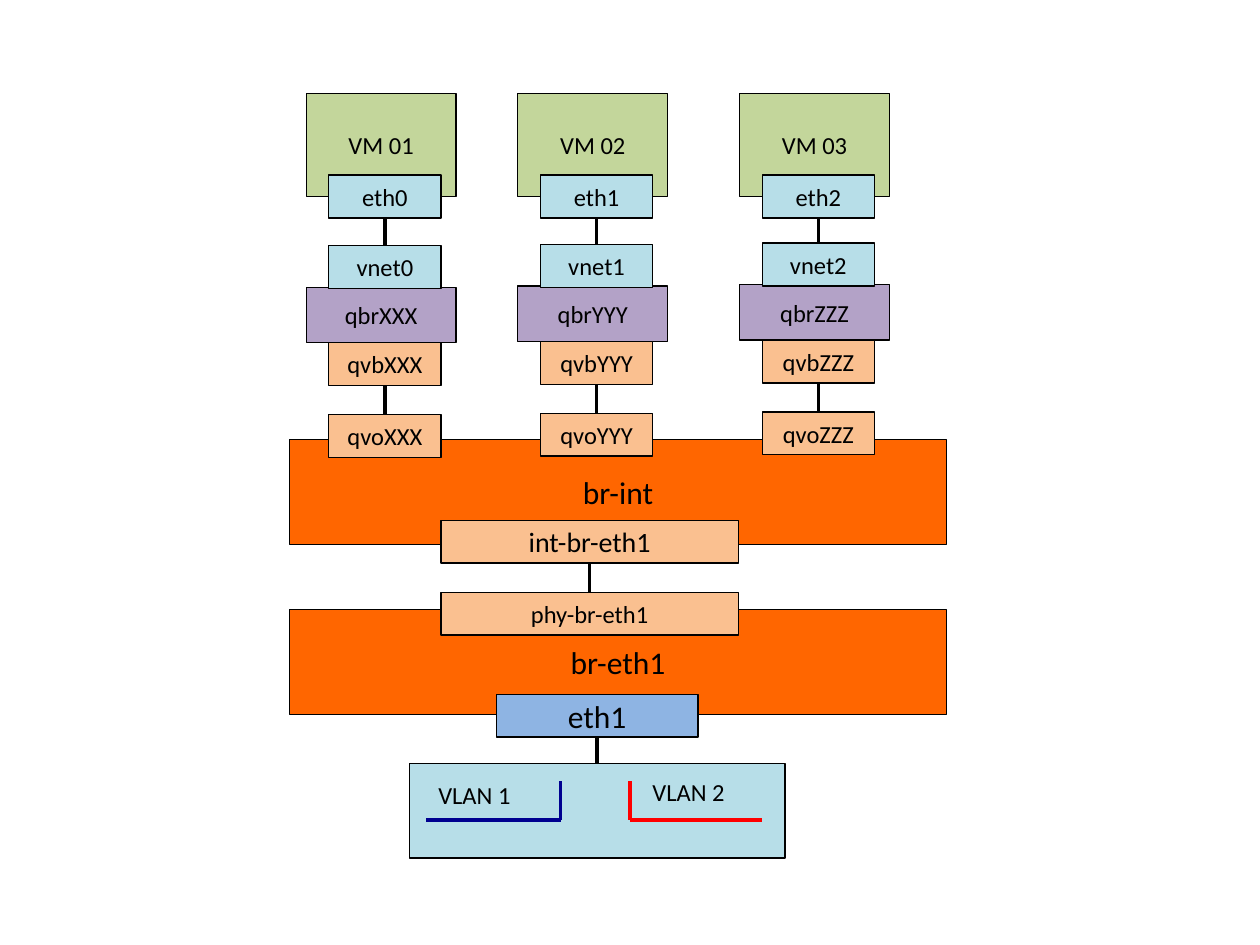
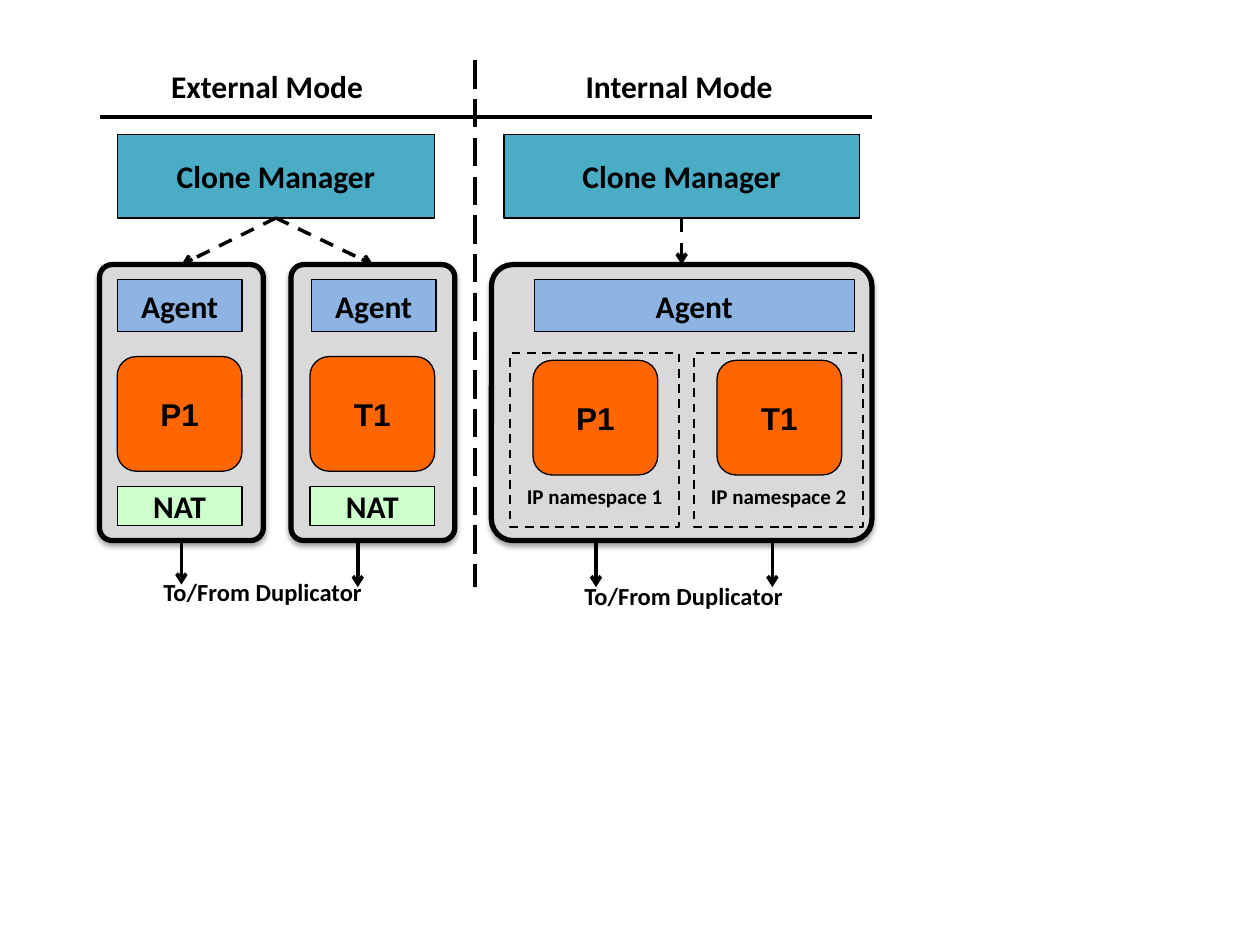
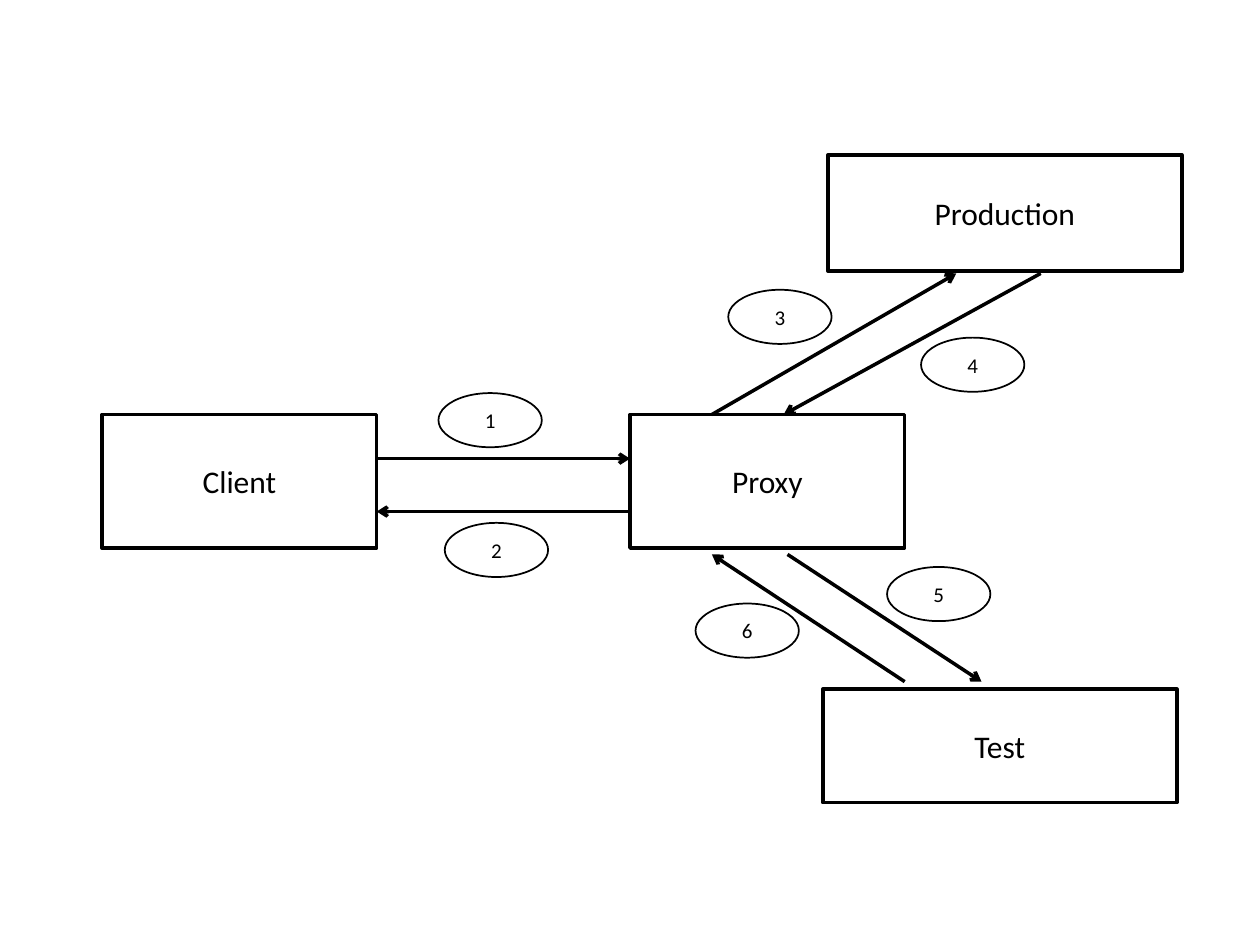
import lxml.etree
import pptx
import pptx.dml.color
import pptx.enum.dml
import pptx.enum.shapes
import pptx.enum.text
import pptx.oxml
import pptx.oxml.ns
import pptx.util

Inches = pptx.util.Inches
hex_colour = pptx.dml.color.RGBColor.from_string
SHAPE = pptx.enum.shapes.MSO_SHAPE
DASH = pptx.enum.dml.MSO_LINE.DASH
LONG_DASH = pptx.enum.dml.MSO_LINE.LONG_DASH
ANCHOR = pptx.enum.text.MSO_ANCHOR
ALIGN = pptx.enum.text.PP_ALIGN

BLACK = "000000"
ORANGE = "FF6600"
PEACH = "FAC090"
PALE_BLUE = "B7DEE8"
BLUE = "8EB4E3"
PURPLE = "B3A2C7"
GREEN = "C3D69B"
MINT = "CCFFCC"
TEAL = "4BACC6"
GREY = "D9D9D9"
LABEL = {"size": 14, "kind": None, "anchor": ANCHOR.TOP}
BOLD = {"size": 18, "bold": True}
BOLD_LABEL = {**LABEL, "bold": True}
NODE_SHADOW = (
    '<a:effectLst xmlns:a="http://schemas.openxmlformats.org/drawingml/2006/main">'
    '<a:outerShdw blurRad="39370" dist="22860" dir="5400000" rotWithShape="0">'
    '<a:srgbClr val="000000"><a:alpha val="35000"/></a:srgbClr>'
    '</a:outerShdw></a:effectLst>'
)


def box(canvas, place, text="", fill=None, kind=SHAPE.RECTANGLE, size=14, bold=False,
        font="Calibri", weight=0.75, dash=None, align=ALIGN.CENTER, anchor=ANCHOR.MIDDLE):
    area = [Inches(length) for length in place]
    if kind is None:
        shape = canvas.shapes.add_textbox(*area)
    else:
        shape = canvas.shapes.add_shape(kind, *area)
        shape.shadow.inherit = False
        line_format = {"width": pptx.util.Pt(weight), "dash_style": dash}
        for name, value in line_format.items():
            setattr(shape.line, name, value)
        shape.line.color.rgb = hex_colour(BLACK)
        if fill:
            shape.fill.solid()
            shape.fill.fore_color.rgb = hex_colour(fill)
        else:
            shape.fill.background()
    if text:
        frame = shape.text_frame
        for name, value in {"word_wrap": True, "vertical_anchor": anchor}.items():
            setattr(frame, name, value)
        paragraph = frame.paragraphs[0]
        paragraph.alignment = align
        run = paragraph.add_run()
        run.text = text
        font_format = {"name": font, "size": pptx.util.Pt(size), "bold": bold}
        for name, value in font_format.items():
            setattr(run.font, name, value)
        run.font.color.rgb = hex_colour(BLACK)
    return shape


def link(canvas, start, end, colour=BLACK, dash=None, arrow=False):
    points = []
    for target, second in (start, end):
        if isinstance(target, (int, float)):
            points += [Inches(target), Inches(second)]
        else:
            points += [0, 0]
    line = canvas.shapes.add_connector(pptx.enum.shapes.MSO_CONNECTOR.STRAIGHT, *points)
    for join, (target, site) in ((line.begin_connect, start), (line.end_connect, end)):
        if not isinstance(target, (int, float)):
            join(target, site)
    for name, value in {"width": pptx.util.Pt(2), "dash_style": dash}.items():
        setattr(line.line, name, value)
    line.line.color.rgb = hex_colour(colour)
    properties = line._element.spPr
    if arrow:
        tail = lxml.etree.SubElement(properties.find(pptx.oxml.ns.qn("a:ln")),
                                     pptx.oxml.ns.qn("a:tailEnd"))
        tail.set("type", "arrow")
    lxml.etree.SubElement(properties, pptx.oxml.ns.qn("a:effectLst"))


deck = pptx.Presentation()
deck.slide_width = Inches(10)
deck.slide_height = Inches(7.5)
network, modes, proxying = [deck.slides.add_slide(deck.slide_layouts[6]) for _ in range(3)]

box(network, (2.3, 4.84, 5.21, 0.83), "br-eth1", ORANGE, size=18)
box(network, (2.3, 3.49, 5.21, 0.83), "br-int", ORANGE, size=18)
integration_port = box(network, (3.5, 4.13, 2.36, 0.34), "int-br-eth1", PEACH, size=16)
physical_port = box(network, (3.5, 4.7, 2.36, 0.34), "phy-br-eth1", PEACH)
host_card = box(network, (3.94, 5.51, 1.6, 0.34), "eth1", BLUE, size=18)
vlans = box(network, (3.25, 6.06, 2.98, 0.75), fill=PALE_BLUE)
link(network, (integration_port, 2), (physical_port, 0))
link(network, (host_card, 2), (vlans, 0))

for index, (left, suffix) in enumerate(((2.43, "XXX"), (4.11, "YYY"), (5.87, "ZZZ"))):
    lift = index * 0.01
    box(network, (left, 0.74, 1.19, 0.82), f"VM 0{index + 1}", GREEN)
    box(network, (left, 2.28 - lift, 1.19, 0.44), f"qbr{suffix}", PURPLE)
    guest_card, tap, bridge_port, switch_port = [
        box(network, (left + 0.18, top, 0.89, 0.34), text, fill)
        for top, text, fill in (
            (1.39, f"eth{index}", PALE_BLUE),
            (1.95 - lift, f"vnet{index}", PALE_BLUE),
            (2.72 - lift, f"qvb{suffix}", PEACH),
            (3.29 - lift, f"qvo{suffix}", PEACH),
        )
    ]
    link(network, (guest_card, 2), (tap, 0))
    link(network, (bridge_port, 2), (switch_port, 0))

for text, left, top, corner, outer, colour in (
    ("VLAN 1", 3.38, 6.14, 4.45, 3.38, "000090"),
    ("VLAN 2", 5.08, 6.12, 5, 6.05, "FF0000"),
):
    link(network, (corner, 6.2), (corner, 6.51), colour)
    link(network, (corner, 6.51), (outer, 6.51), colour)
    box(network, (left, top, 0.91, 0.34), text, align=ALIGN.LEFT, **LABEL)

external_node, test_node, internal_node = [
    box(modes, (left, 2.1, width, 2.19), fill=GREY, kind=SHAPE.ROUNDED_RECTANGLE, weight=3)
    for left, width in ((0.79, 1.3), (2.31, 1.3), (3.9, 3.02))
]
for node in (external_node, test_node, internal_node):
    node.adjustments[0] = 0.078
    properties = node._element.spPr
    properties.remove(properties.find(pptx.oxml.ns.qn("a:effectLst")))
    properties.append(pptx.oxml.parse_xml(NODE_SHADOW))

for left, top, name in ((0.93, 2.83, "P1"), (2.46, 2.83, "T1"),
                        (4.23, 2.86, "P1"), (5.69, 2.86, "T1")):
    box(modes, (left, top, 0.99, 0.91), name, ORANGE, SHAPE.ROUNDED_RECTANGLE,
        font="Arial", **BOLD)
for left in (0.93, 2.46):
    box(modes, (left, 3.86, 0.99, 0.31), "NAT", MINT, **BOLD)
for left, width in ((0.93, 0.99), (2.47, 0.99), (4.24, 2.54)):
    box(modes, (left, 2.22, width, 0.41), "Agent", BLUE, **BOLD)
for number, left in enumerate((4.05, 5.51), 1):
    namespace = box(modes, (left, 2.8, 1.34, 1.38), f"IP namespace {number}", size=12,
                    bold=True, weight=1.25, dash=DASH, anchor=ANCHOR.BOTTOM)
    namespace.text_frame.margin_bottom = Inches(0.14)

for left, width, nodes in ((0.93, 2.52, (external_node, test_node)),
                           (4, 2.82, (internal_node,))):
    manager = box(modes, (left, 1.07, width, 0.66), "Clone Manager", TEAL, **BOLD)
    for node in nodes:
        link(modes, (manager, 2), (node, 0), dash=DASH, arrow=True)
link(modes, (external_node, 2), (1.44, 4.64), arrow=True)
for x in (2.84, 4.73, 6.13):
    link(modes, (x, 4.29), (x, 4.66), arrow=True)
for left, top in ((1, 4.53), (4.34, 4.56)):
    box(modes, (left, top, 2.17, 0.34), "To/From Duplicator", **BOLD_LABEL)
for left, heading in ((0.93, "External Mode"), (4.2, "Internal Mode")):
    box(modes, (left, 0.48, 2.38, 0.4), heading, **{**BOLD_LABEL, "size": 18})
link(modes, (3.77, 0.48), (3.77, 4.66), dash=LONG_DASH)
link(modes, (0.79, 0.93), (6.92, 0.93))

for name, left, top, width, height in (
    ("Client", 0.81, 3.29, 2.18, 1.06),
    ("Proxy", 5, 3.29, 2.18, 1.06),
    ("Production", 6.57, 1.23, 2.81, 0.92),
    ("Test", 6.53, 5.47, 2.81, 0.9),
):
    box(proxying, (left, top, width, height), name, size=18, weight=2)

steps = (
    ((2.99, 3.64), (5, 3.64), (3.48, 3.12)),
    ((5, 4.06), (2.99, 4.06), (3.53, 4.15)),
    ((5.65, 3.29), (7.59, 2.17), (5.78, 2.3)),
    ((8.26, 2.17), (6.22, 3.29), (7.31, 2.68)),
    ((6.25, 4.4), (7.79, 5.41), (7.04, 4.5)),
    ((7.18, 5.41), (5.65, 4.4), (5.52, 4.79)),
)
for number, (start, end, badge) in enumerate(steps, 1):
    link(proxying, start, end, arrow=True)
    box(proxying, (*badge, 0.82, 0.43), str(number), kind=SHAPE.OVAL, size=12, weight=1)

deck.save("out.pptx")
